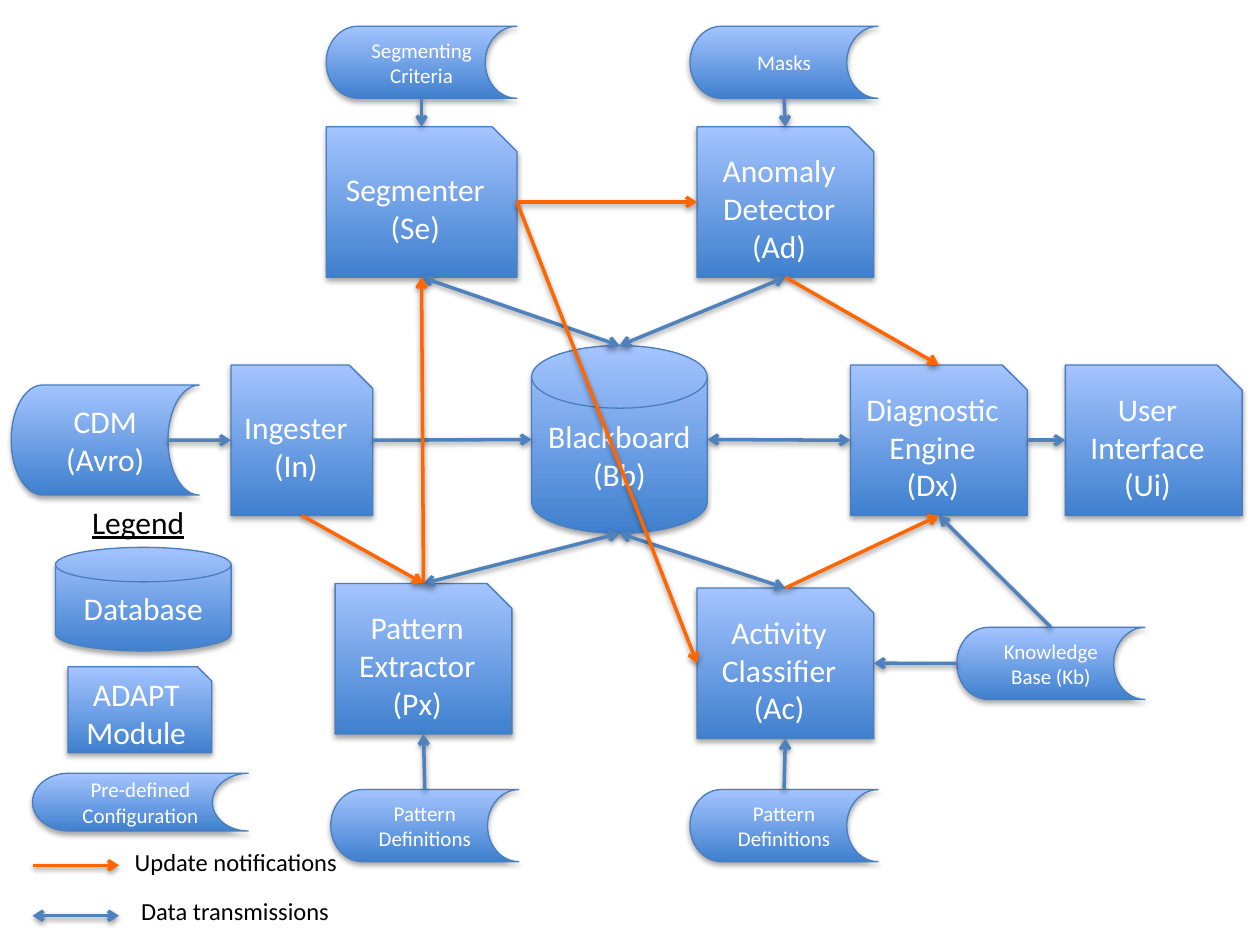
from collections import namedtuple
from lxml.etree import SubElement
from pptx import Presentation
from pptx.dml.color import RGBColor
from pptx.enum.shapes import MSO_CONNECTOR, MSO_SHAPE
from pptx.enum.text import MSO_ANCHOR, MSO_AUTO_SIZE, PP_ALIGN
from pptx.oxml.ns import qn
from pptx.util import Pt

Theme = namedtuple(
    "Theme", "font white black dark light edge data update shadow large medium small"
)
theme = Theme(
    font="Calibri", white="FFFFFF", black="000000", dark="3F80CE", light="A4C4FF",
    edge="4B7EBC", data="4F81BD", update="FF6600", shadow="000000",
    large=18, medium=14, small=12,
)


def write_text(frame, text, size, color, align=PP_ALIGN.LEFT, underline=None):
    frame.text = text
    for para in frame.paragraphs:
        para.alignment = align
        for span in para.runs:
            span.font.name = theme.font
            span.font.size = Pt(size)
            span.font.color.rgb = RGBColor.from_string(color)
            span.font.underline = underline


def cast_shadow(effects, distance, opacity):
    shadow = SubElement(
        effects, qn("a:outerShdw"), blurRad=str(Pt(3.15)), dist=str(Pt(distance)),
        dir="5400000", rotWithShape="0",
    )
    color = SubElement(shadow, qn("a:srgbClr"), val=theme.shadow)
    SubElement(color, qn("a:alpha"), val=str(opacity * 1000))


deck = Presentation()
deck.slide_width, deck.slide_height = Pt(720), Pt(540)
page = deck.slides.add_slide(deck.slide_layouts[6])

MODULE = MSO_SHAPE.SNIP_1_RECTANGLE
DATABASE = MSO_SHAPE.FLOWCHART_MAGNETIC_DISK
STORAGE = MSO_SHAPE.FLOWCHART_STORED_DATA
STORAGE = MSO_SHAPE.FLOWCHART_STORED_DATA
module_width, module_height = 101, 86
config_width, config_height = 107.5, 41.2
top_row, middle_row = 72.4, 208.6

nodes = [
    ("ingester", MODULE, 132, middle_row, 81, module_height, "Ingester\v(In)", theme.large),
    ("extractor", MODULE, 191.5, 333.4, module_width, module_height, "Pattern\vExtractor\n(Px)", theme.large),
    ("blackboard", DATABASE, 303.8, 197.5, 100.4, 107.3, "Blackboard\v(Bb)", theme.large),
    ("segmenter", MODULE, 186.4, top_row, 109, module_height, "Segmenter\n(Se)", theme.large),
    ("detector", MODULE, 398.3, top_row, module_width, module_height, "Anomaly\vDetector\n(Ad)", theme.large),
    ("classifier", MODULE, 398.3, 336, module_width, module_height, "Activity\vClassifier\n(Ac)", theme.large),
    ("diagnostic", MODULE, 486, middle_row, module_width, module_height, "Diagnostic\nEngine\n(Dx)", theme.large),
    ("interface", MODULE, 608.8, middle_row, module_width, module_height, "User\vInterface\n(Ui)", theme.large),
    ("cdm", STORAGE, 6.4, 220, config_width, 62.9, "CDM\v(Avro)", theme.large),
    ("patterns", STORAGE, 189, 451.2, config_width, config_height, "Pattern\vDefinitions", theme.small),
    ("activities", STORAGE, 394.3, 451.2, config_width, config_height, "Pattern\vDefinitions", theme.small),
    ("knowledge", STORAGE, 546.8, 358.5, config_width, config_height, "Knowledge\vBase (Kb)", theme.small),
    ("masks", STORAGE, 394.3, 15, config_width, config_height, "Masks", theme.small),
    ("criteria", STORAGE, 186.4, 15, 109, config_height, "Segmenting\vCriteria", theme.small),
    ("legend config", STORAGE, 18.6, 441.9, 123.3, 33, "Pre-defined\vConfiguration", theme.small),
    ("legend module", MODULE, 38.9, 381, 82.1, 49.1, "ADAPT\vModule", theme.large),
    ("legend database", DATABASE, 31.7, 312.8, 100.4, 59.2, "Database", theme.large),
]
boxes = {}
for name, kind, left, top, width, height, text, size in nodes:
    box = page.shapes.add_shape(kind, Pt(left), Pt(top), Pt(width), Pt(height))
    box.fill.gradient()
    box.fill.gradient_angle = 90
    for stop, color in zip(box.fill.gradient_stops, (theme.dark, theme.light)):
        stop.color.rgb = RGBColor.from_string(color)
    box.line.color.rgb = RGBColor.from_string(theme.edge)
    box.line.width = Pt(0.75)
    box.shadow.inherit = False
    cast_shadow(box.element.spPr.find(qn("a:effectLst")), 1.81, 35)
    box.text_frame.word_wrap = True
    box.text_frame.vertical_anchor = MSO_ANCHOR.MIDDLE
    write_text(box.text_frame, text, size, theme.white, align=PP_ALIGN.CENTER)
    boxes[name] = box

sites = {
    MODULE: {"right": 0, "bottom": 1, "left": 2, "top": 3},
    DATABASE: {"top": 1, "left": 2, "bottom": 3},
    STORAGE: {"top": 0, "left": 1, "bottom": 2, "right": 3},
}
sides = {"top": (0.5, 0), "left": (0, 0.5), "bottom": (0.5, 1), "right": (1, 0.5)}
links = [
    ("cdm", "right", "ingester", "left", theme.data, False),
    ("ingester", "right", "blackboard", "left", theme.data, False),
    ("segmenter", "bottom", "blackboard", "top", theme.data, True),
    ("detector", "bottom", "blackboard", "top", theme.data, True),
    ("blackboard", "bottom", "extractor", "top", theme.data, True),
    ("blackboard", "bottom", "classifier", "top", theme.data, True),
    ("diagnostic", "left", "blackboard", "right", theme.data, True),
    ("diagnostic", "right", "interface", "left", theme.data, False),
    ("knowledge", "left", "classifier", "right", theme.data, False),
    ("knowledge", "top", "diagnostic", "bottom", theme.data, False),
    ("patterns", "top", "extractor", "bottom", theme.data, False),
    ("activities", "top", "classifier", "bottom", theme.data, False),
    ("masks", "bottom", "detector", "top", theme.data, False),
    ("criteria", "bottom", "segmenter", "top", theme.data, False),
    ("extractor", "top", "segmenter", "bottom", theme.update, False),
    ("segmenter", "right", "detector", "left", theme.update, False),
    ("segmenter", "right", "classifier", "left", theme.update, False),
    ("classifier", "top", "diagnostic", "bottom", theme.update, False),
    ("detector", "bottom", "diagnostic", "top", theme.update, False),
    ("ingester", "bottom", "extractor", "top", theme.update, False),
]
arrows = []
for source, source_side, target, target_side, color, two_way in links:
    ends = []
    for name, side in ((source, source_side), (target, target_side)):
        box = boxes[name]
        across, down = sides[side]
        if box.auto_shape_type == STORAGE and side == "right":
            across = 5 / 6
        ends += [int(box.left + across * box.width), int(box.top + down * box.height)]
    arrow = page.shapes.add_connector(MSO_CONNECTOR.STRAIGHT, *ends)
    source_site = sites[boxes[source].auto_shape_type].get(source_side)
    target_site = sites[boxes[target].auto_shape_type].get(target_side)
    if source_site is not None:
        arrow.begin_connect(boxes[source], source_site)
    if target_site is not None:
        arrow.end_connect(boxes[target], target_site)
    arrow.begin_x, arrow.begin_y, arrow.end_x, arrow.end_y = ends
    arrows.append((arrow, color, two_way))

for start, end, y, color, two_way in (
    (18.6, 68, 494.5, theme.update, False),
    (68, 18.6, 523.3, theme.data, True),
):
    arrow = page.shapes.add_connector(MSO_CONNECTOR.STRAIGHT, Pt(start), Pt(y), Pt(end), Pt(y))
    arrows.append((arrow, color, two_way))

for arrow, color, two_way in arrows:
    arrow.line.color.rgb = RGBColor.from_string(color)
    arrow.line.width = Pt(2)
    properties = arrow.element.spPr
    outline = properties.find(qn("a:ln"))
    if two_way:
        SubElement(outline, qn("a:headEnd"), type="arrow")
    SubElement(outline, qn("a:tailEnd"), type="arrow")
    cast_shadow(SubElement(properties, qn("a:effectLst")), 1.57, 38)

for text, left, top, width, height, size, underline in (
    ("Update notifications", 69.9, 480.2, 131.8, 24.3, theme.medium, None),
    ("Data transmissions", 73.5, 508.6, 123.1, 24.3, theme.medium, None),
    ("Legend", 45.5, 283.7, 67.5, 29.1, theme.large, True),
):
    label = page.shapes.add_textbox(Pt(left), Pt(top), Pt(width), Pt(height))
    label.text_frame.word_wrap = False
    label.text_frame.auto_size = MSO_AUTO_SIZE.SHAPE_TO_FIT_TEXT
    write_text(label.text_frame, text, size, theme.black, underline=underline)

deck.save("out.pptx")
